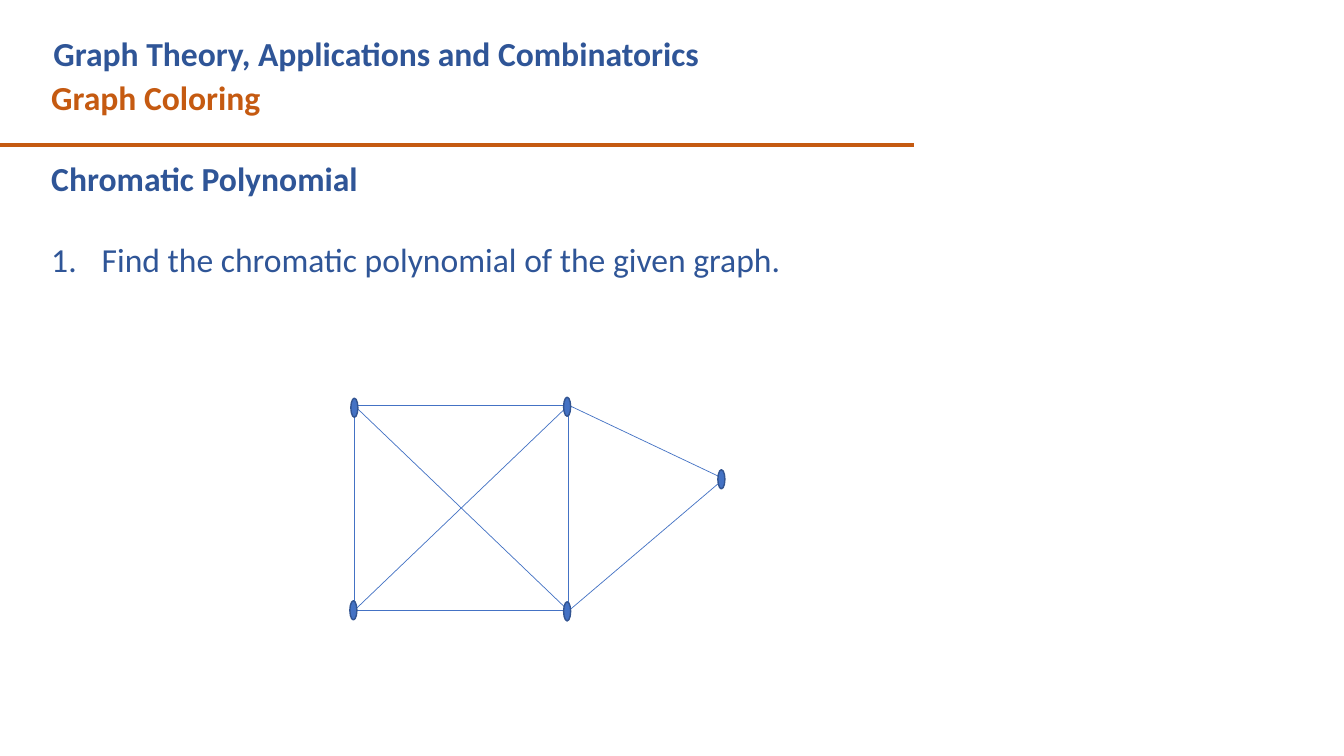
"""Build a slide that asks for the chromatic polynomial of a five-vertex graph."""
from lxml import etree
from pptx import Presentation
from pptx.dml.color import RGBColor
from pptx.enum.shapes import MSO_CONNECTOR, MSO_SHAPE
from pptx.enum.text import MSO_ANCHOR, MSO_AUTO_SIZE, PP_ALIGN
from pptx.oxml.ns import qn
from pptx.util import Pt

STRAIGHT = MSO_CONNECTOR.STRAIGHT
ELLIPSE = MSO_SHAPE.OVAL
TOP = MSO_ANCHOR.TOP
NO_AUTOFIT = MSO_AUTO_SIZE.NONE
LEFT, JUSTIFY = PP_ALIGN.LEFT, PP_ALIGN.JUSTIFY

EMU_PER_PX = 9144
SLIDE_SIZE = (1333, 750)
NAVY, ORANGE, BLUE, OUTLINE = "2F5597", "C55A11", "4472C4", "325491"

COURSE = ("Graph Theory, Applications and Combinatorics", (43, 28, 820, 50))
TOPIC = ("Graph Coloring", (41, 71, 875, 50))
HEADING = "Chromatic Polynomial"
QUESTION = "Find the chromatic polynomial of the given graph."
BODY_BOX = (41, 152, 1108, 212)
QUESTION_INDENT = 50
RULE = ((-1, 144), (907, 144))

VERTEX_SIZE = (7, 19)
VERTICES = {
    "top left": {"joint": (351, 402), "corner": (348, 395)},
    "top right": {"joint": (564, 402), "corner": (559, 394)},
    "bottom left": {"joint": (351, 606), "corner": (347, 596)},
    "bottom right": {"joint": (564, 606), "corner": (559, 597)},
    "right": {"joint": (718, 475), "corner": (712, 466)},
}
EDGES = [
    ("top left", "bottom left"),
    ("top left", "top right"),
    ("top right", "bottom right"),
    ("bottom left", "bottom right"),
    ("bottom left", "top right"),
    ("top left", "bottom right"),
    ("top right", "right"),
    ("bottom right", "right"),
]


def px(lengths):
    return [length * EMU_PER_PX for length in lengths]


def color(value):
    return RGBColor.from_string(value)


def write(paragraph, text, text_color, bold=True, alignment=LEFT):
    paragraph.text = text
    paragraph.alignment = alignment
    font_format = {"name": "Calibri", "size": Pt(24), "bold": bold}
    for name, value in font_format.items():
        setattr(paragraph.font, name, value)
    paragraph.font.color.rgb = color(text_color)


def prepare_frame(shape):
    frame = shape.text_frame
    frame_format = {"word_wrap": True, "auto_size": NO_AUTOFIT, "vertical_anchor": TOP}
    for name, value in frame_format.items():
        setattr(frame, name, value)
    return frame


def number_paragraph(paragraph, indent):
    properties = paragraph._p.get_or_add_pPr()
    properties.set("marL", str(indent))
    properties.set("indent", str(-indent))
    etree.SubElement(properties, qn("a:buFont"), typeface="+mj-lt")
    etree.SubElement(properties, qn("a:buAutoNum"), type="arabicPeriod")


def add_line(shapes, start, end, line_color, width):
    line = shapes.add_connector(STRAIGHT, *px(start), *px(end))
    line.line.color.rgb = color(line_color)
    line.line.width = Pt(width)
    etree.SubElement(line._element.spPr, qn("a:effectLst"))


def add_headers(slide):
    title = slide.shapes.title
    text, box = COURSE
    title.left, title.top, title.width, title.height = px(box)
    write(prepare_frame(title).paragraphs[0], text, NAVY)
    text, box = TOPIC
    topic = slide.shapes.add_textbox(*px(box))
    write(prepare_frame(topic).paragraphs[0], text, ORANGE)
    add_line(slide.shapes, *RULE, ORANGE, 3)


def add_body(slide):
    frame = prepare_frame(slide.shapes.add_textbox(*px(BODY_BOX)))
    write(frame.paragraphs[0], HEADING, NAVY, alignment=JUSTIFY)
    question = frame.add_paragraph()
    question.space_before = Pt(29)
    number_paragraph(question, QUESTION_INDENT * EMU_PER_PX)
    write(question, QUESTION, NAVY, bold=False, alignment=JUSTIFY)


def add_graph(slide):
    graph = slide.shapes.add_group_shape()
    for start, end in EDGES:
        add_line(graph.shapes, VERTICES[start]["joint"], VERTICES[end]["joint"], BLUE, 0.5)
    for vertex in VERTICES.values():
        dot = graph.shapes.add_shape(ELLIPSE, *px(vertex["corner"]), *px(VERTEX_SIZE))
        dot.shadow.inherit = False
        dot.fill.solid()
        dot.fill.fore_color.rgb = color(BLUE)
        dot.line.color.rgb = color(OUTLINE)
        dot.line.width = Pt(1)


def main():
    presentation = Presentation()
    presentation.slide_width, presentation.slide_height = px(SLIDE_SIZE)
    slide = presentation.slides.add_slide(presentation.slide_layouts[5])
    add_headers(slide)
    add_body(slide)
    add_graph(slide)
    presentation.save("out.pptx")


if __name__ == "__main__":
    main()
